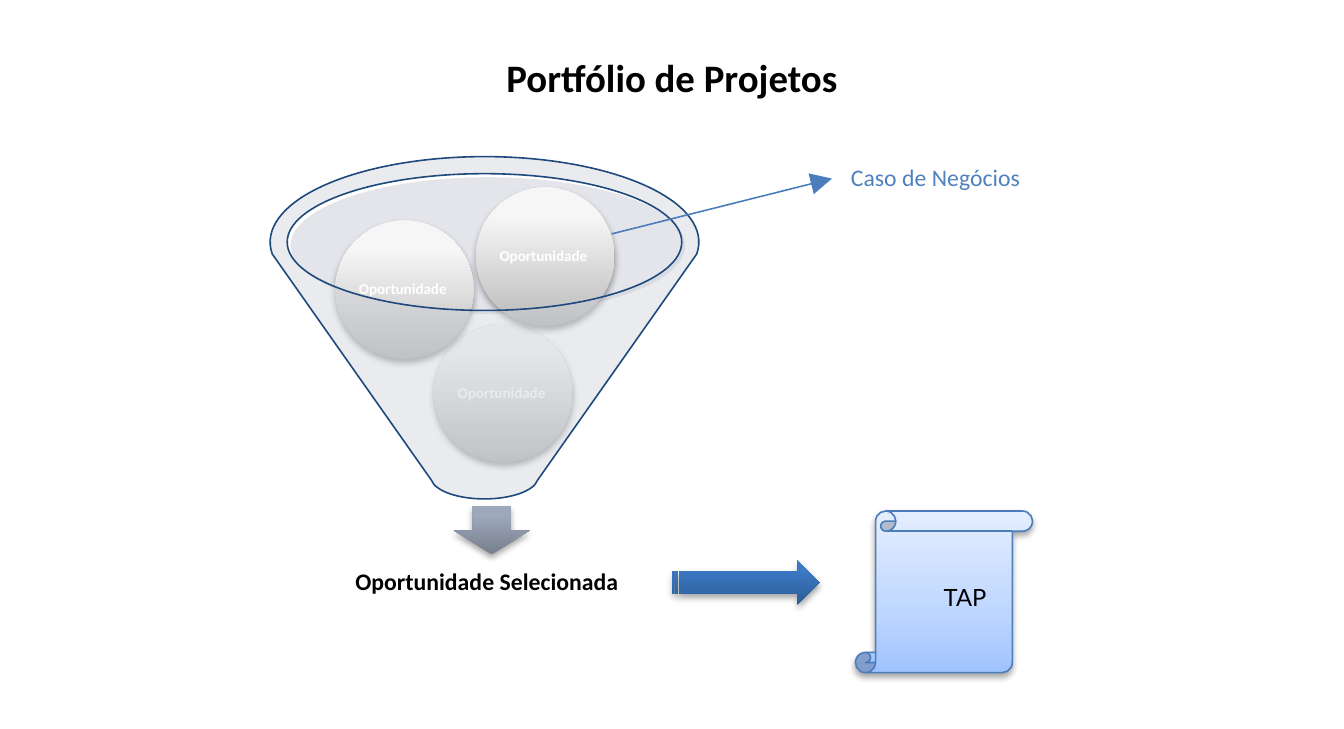
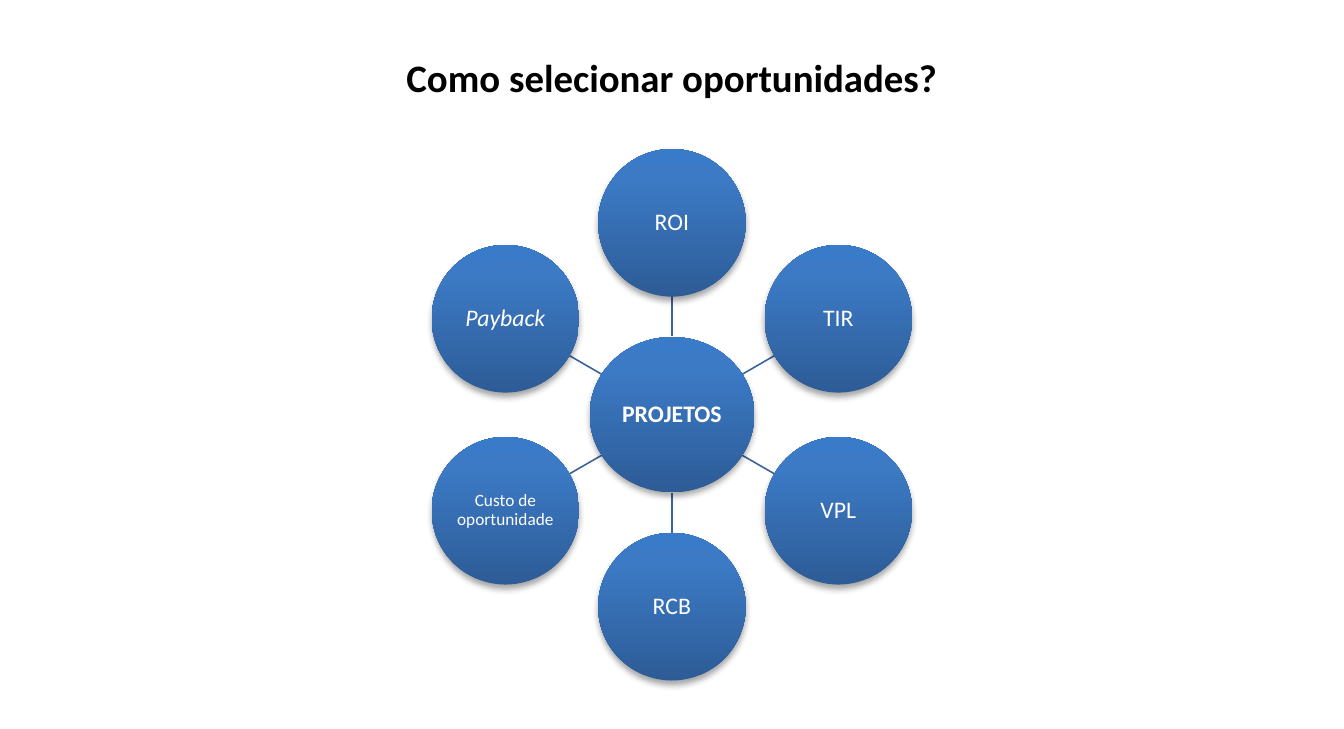
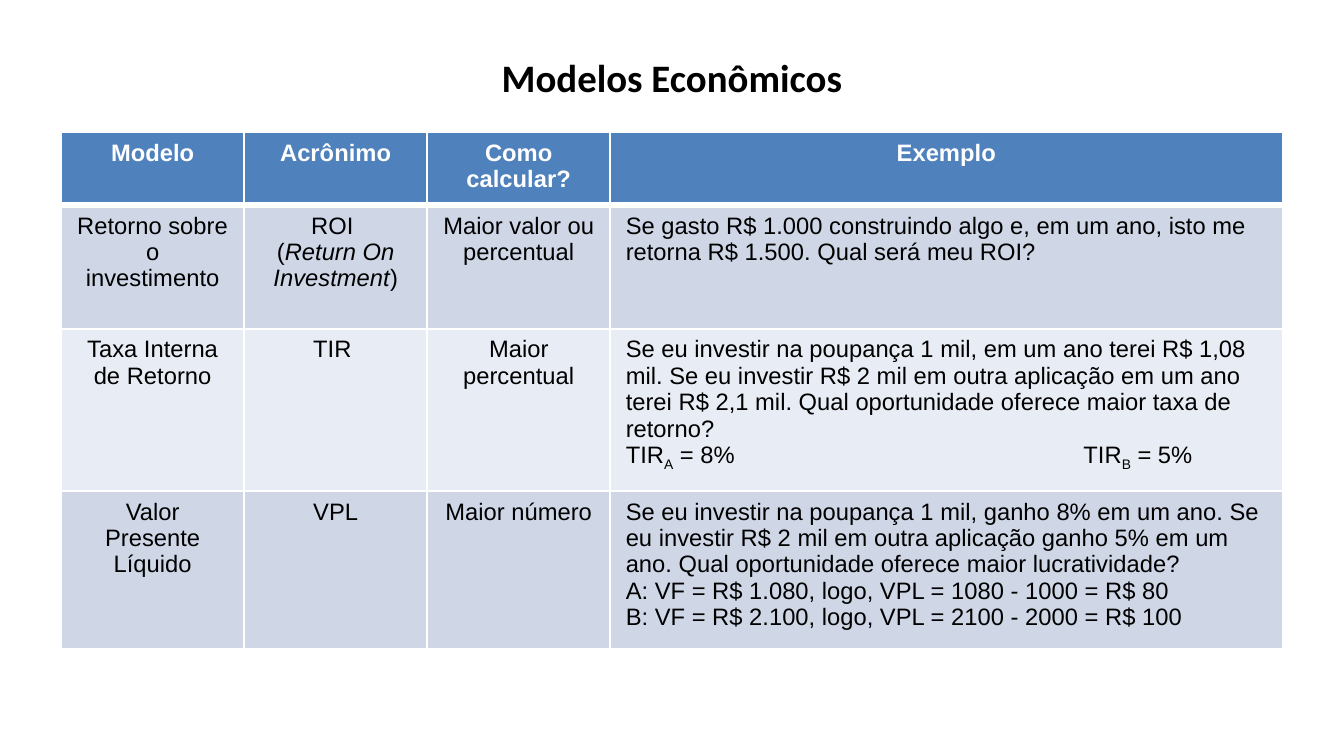
from copy import deepcopy
from dataclasses import dataclass
from math import cos, radians, sin, tan

from lxml.etree import SubElement
from pptx import Presentation
from pptx.dml.color import RGBColor
from pptx.enum.shapes import MSO_CONNECTOR, MSO_SHAPE
from pptx.enum.text import MSO_ANCHOR, PP_ALIGN
from pptx.oxml.ns import qn
from pptx.util import Inches, Pt


@dataclass(frozen=True)
class Theme:
    black: str = "000000"
    white: str = "FFFFFF"
    blue: str = "4F81BD"
    outline: str = "4A7DBA"
    spoke: str = "3B6495"
    navy: str = "1D497D"
    funnel: str = "CBCED6"
    mouth: str = "BBBFCB"
    bands: tuple = ("CFD7E7", "E8ECF4")
    blue_fade: tuple = ((0, "2D5C97"), (0.8, "3C7AC5"), (1, "397BC9"))
    grey_fade: tuple = ((0, "BBBBBB"), (0.8, "F6F6F6"), (1, "F7F7F7"))
    slate_fade: tuple = ((0, "777F8D"), (0.8, "9DA8BA"), (1, "9EA8BB"))
    paper_fade: tuple = ((0, "9FC3FF"), (0.35, "BDD5FF"), (1, "E4EEFF"))
    heading: int = 18
    body: int = 11
    note: int = 8
    tiny: int = 7
    hairline: float = 0.75


theme = Theme()
presentation = Presentation()
presentation.slide_width, presentation.slide_height = Inches(8.65), Inches(4.69)
# The grid has 100 columns and 100 rows.
column = presentation.slide_width / 100
row = presentation.slide_height / 100

tight = dict.fromkeys(("margin_left", "margin_right", "margin_top", "margin_bottom"), Inches(0.01))
tight.update(word_wrap=True, vertical_anchor=MSO_ANCHOR.MIDDLE)


def write(frame, paragraphs, color=theme.black, spacing=None, align=PP_ALIGN.CENTER,
          frame_format=None, **font_format):
    """Fill a frame; each paragraph is a string or a list of (text, extra font values)."""
    for name, value in (frame_format or {}).items():
        setattr(frame, name, value)
    for index, runs in enumerate(paragraphs):
        paragraph = frame.add_paragraph() if index else frame.paragraphs[0]
        paragraph.alignment, paragraph.line_spacing = align, spacing
        for text, extra in [(runs, {})] if isinstance(runs, str) else runs:
            run = paragraph.add_run()
            run.text = text
            run.font.color.rgb = RGBColor.from_string(color)
            values = {"name": "Calibri", "size": Pt(theme.body), **font_format, **extra}
            if values.pop("subscript", False):
                run.font._element.set("baseline", "-25000")
            for name, value in values.items():
                setattr(run.font, name, value)


def add_glossy(slide, kind, left, top, width, height, fade):
    """Add a preset shape with a vertical gradient and a soft shadow below it."""
    shape = slide.shapes.add_shape(kind, int(left * column), int(top * row),
                                   int(width * column), int(height * row))
    shape.fill.gradient()
    shape.fill.gradient_angle = 90
    stop_list = shape.element.spPr.find(qn("a:gradFill")).find(qn("a:gsLst"))
    stop_list.append(deepcopy(stop_list[0]))
    for stop, (position, color) in zip(shape.fill.gradient_stops, fade):
        stop.position, stop.color.rgb = position, RGBColor.from_string(color)
    shape.line.fill.background()
    shape.shadow.inherit = False
    shadow = SubElement(shape.element.spPr.find(qn("a:effectLst")), qn("a:outerShdw"),
                        blurRad=str(Pt(3.1)), dist=str(Pt(1.8)), dir="5400000",
                        algn="ctr", rotWithShape="0")
    shade = SubElement(shadow, qn("a:srgbClr"), val=theme.black)
    SubElement(shade, qn("a:alpha"), val="35000")
    return shape


# Slides and their titles
slides = []
for title in ("Portfólio de Projetos", "Como selecionar oportunidades?", "Modelos Econômicos"):
    slide = presentation.slides.add_slide(presentation.slide_layouts[6])
    box = slide.shapes.add_textbox(0, int(6.3 * row), int(100 * column), int(8.53 * row))
    write(box.text_frame, [title], size=Pt(theme.heading), bold=True,
          frame_format={"word_wrap": True})
    slides.append(slide)
portfolio, criteria, models = slides

# Portfolio: funnel
center_x, rim_y, tip_y = 36.05, 33.22, 65.46
mouth = portfolio.shapes.add_shape(MSO_SHAPE.OVAL, int(21.62 * column), int(24.31 * row),
                                   int(29.36 * column), int(18.76 * row))
add_glossy(portfolio, MSO_SHAPE.DOWN_ARROW, 33.76, 69.45, 5.66, 6.61, theme.slate_fade)
selected = portfolio.shapes.add_textbox(int(22.6 * column), int(73.65 * row),
                                        int(27.28 * column), int(12.58 * row))
write(selected.text_frame, ["Oportunidade Selecionada"], bold=True, spacing=0.9,
      frame_format=tight)
for left, top in ((32.3, 44.45), (24.95, 30.25), (35.42, 25.7)):
    ball = add_glossy(portfolio, MSO_SHAPE.OVAL, left, top, 10.29, 18.98, theme.grey_fade)
    write(ball.text_frame, ["Oportunidade "], theme.white, 0.9, frame_format=tight,
          size=Pt(theme.tiny), bold=True)

# Each arc is a chain of Bezier curves: a start point, then three points per curve.
outline = []
for arc_y, radius_x, radius_y, start, end, curves in (
        (rim_y, 15.95, 11.73, 172, 368, 4),
        (tip_y, 3.99, 2.99, 8, 172, 2),
        (rim_y, 14.68, 9.38, 0, 360, 4)):
    step = radians((end - start) / curves)
    reach = 4 / 3 * tan(step / 4)
    unit_points = [(cos(radians(start)), sin(radians(start)))]
    for index in range(curves):
        first = radians(start) + index * step
        last = first + step
        unit_points += [(cos(first) - reach * sin(first), sin(first) + reach * cos(first)),
                        (cos(last) + reach * sin(last), sin(last) - reach * cos(last)),
                        (cos(last), sin(last))]
    outline.append([((center_x + radius_x * x) * column, (arc_y + radius_y * y) * row)
                    for x, y in unit_points])
rim, tip, opening = outline
builder = portfolio.shapes.build_freeform(*rim[0])
builder.add_line_segments(rim[1:] + tip)
builder.move_to(*opening[0])
builder.add_line_segments(opening[1:])
funnel = builder.convert_to_shape()
segments = list(funnel.element.iter(qn("a:lnTo")))
del segments[len(rim) - 1]  # the straight side between rim and tip
for index in range(0, len(segments), 3):
    outline_element = segments[index].getparent()
    curve = SubElement(outline_element, qn("a:cubicBezTo"))
    segments[index].addprevious(curve)
    for segment in segments[index:index + 3]:
        curve.append(segment[0])
        outline_element.remove(segment)

for shape, color in ((mouth, theme.mouth), (funnel, theme.funnel)):
    shape.shadow.inherit = False
    shape.fill.solid()
    shape.fill.fore_color.rgb = RGBColor.from_string(color)
    fill_color = shape.element.spPr.find(qn("a:solidFill"))[0]
    SubElement(fill_color, qn("a:alpha"), val="40000")
mouth.line.fill.background()
funnel.line.color.rgb = RGBColor.from_string(theme.navy)
funnel.line.width = Pt(theme.hairline)

# Portfolio: what comes out of the funnel
add_glossy(portfolio, MSO_SHAPE.STRIPED_RIGHT_ARROW, 50, 76.85, 10.98, 6.18, theme.blue_fade)
scroll = add_glossy(portfolio, MSO_SHAPE.VERTICAL_SCROLL, 63.65, 70.1, 13.18, 22.17,
                    theme.paper_fade)
scroll.line.color.rgb = RGBColor.from_string(theme.outline)
scroll.line.width = Pt(theme.hairline)
write(scroll.text_frame, ["TAP"], name="Lato", frame_format={"margin_left": Inches(0.37)})
pointer = portfolio.shapes.add_connector(MSO_CONNECTOR.STRAIGHT, int(45.5 * column),
                                         int(32.1 * row), int(61.9 * column), int(24.5 * row))
pointer.line.color.rgb = RGBColor.from_string(theme.outline)
SubElement(pointer.line._get_or_add_ln(), qn("a:tailEnd"), type="triangle", w="lg", len="lg")
case = portfolio.shapes.add_textbox(int(62.1 * column), int(21.32 * row),
                                    int(15.03 * column), int(6.18 * row))
write(case.text_frame, ["Caso de Negócios"], theme.blue, frame_format={"word_wrap": False})

# Criteria: hub and six spokes
hub_x, hub_y, orbit_x, orbit_y = 50, 56.9, 14.3, 26.33
circles = [("PROJETOS", 0, 0, 12.25, 21.32, {"bold": True})]
criteria_names = [("ROI", {}), ("TIR", {}), ("VPL", {}), ("RCB", {}),
                  ("Custo de oportunidade", {"size": Pt(theme.note)}),
                  ("Payback", {"italic": True})]
for index, (name, font_format) in enumerate(criteria_names):
    angle = radians(index * 360 / len(criteria_names) - 90)
    offset_x, offset_y = orbit_x * cos(angle), orbit_y * sin(angle)
    circles.append((name, offset_x, offset_y, 10.98, 20.26, font_format))
    ends = [int(value) for share in (0.41, 0.62)
            for value in ((hub_x + share * offset_x) * column, (hub_y + share * offset_y) * row)]
    spoke = criteria.shapes.add_connector(MSO_CONNECTOR.STRAIGHT, *ends)
    spoke.line.color.rgb = RGBColor.from_string(theme.spoke)
for name, offset_x, offset_y, width, height, font_format in circles:
    circle = add_glossy(criteria, MSO_SHAPE.OVAL, hub_x + offset_x - width / 2,
                        hub_y + offset_y - height / 2, width, height, theme.blue_fade)
    write(circle.text_frame, [name], theme.white, 0.9, frame_format=tight, **font_format)

for slide in (portfolio, criteria):
    for connector in slide.element.iter(qn("p:cxnSp")):
        connector.spPr.find(qn("a:ln")).set("w", str(Pt(theme.hairline)))
        SubElement(connector.spPr, qn("a:effectLst"))

# Models: table
subscript = {"subscript": True}
rows = [
    [["Modelo"], ["Acrônimo"], ["Como calcular?"], ["Exemplo"]],
    [["Retorno sobre o investimento"],
     ["ROI ", [("(", {}), ("Return On Investment", {"italic": True}), (")", {})]],
     ["Maior valor ou percentual"],
     ["Se gasto R$ 1.000 construindo algo e, em um ano, isto me retorna R$ 1.500. "
      "Qual será meu ROI?"]],
    [["Taxa Interna de Retorno"], ["TIR "], ["Maior percentual"],
     ["Se eu investir na poupança 1 mil, em um ano terei R$ 1,08 mil. Se eu investir R$ 2 mil "
      "em outra aplicação em um ano terei R$ 2,1 mil. Qual oportunidade oferece maior taxa "
      "de retorno?",
      [("TIR", {}), ("A", subscript), (" = 8%\tTIR", {}), ("B", subscript), (" = 5%", {})]]],
    [["Valor Presente Líquido"], ["VPL"], ["Maior número"],
     ["Se eu investir na poupança 1 mil, ganho 8% em um ano. Se eu investir R$ 2 mil em outra "
      "aplicação ganho 5% em um ano. Qual oportunidade oferece maior lucratividade?",
      "A: VF = R$ 1.080, logo, VPL = 1080 - 1000 = R$ 80",
      "B: VF = R$ 2.100, logo, VPL = 2100 - 2000 = R$ 100"]],
]
column_shares, row_shares = (13.62, 13.62, 13.62, 50.02), (9.2, 17, 20.9, 20)
table = models.shapes.add_table(len(rows), len(column_shares), int(4.55 * column),
                                int(18.12 * row), int(sum(column_shares) * column),
                                int(sum(row_shares) * row)).table
for table_column, share in zip(table.columns, column_shares):
    table_column.width = int(share * column)
for row_index, (cells, share) in enumerate(zip(rows, row_shares)):
    table.rows[row_index].height = int(share * row)
    header = row_index == 0
    for column_index, paragraphs in enumerate(cells):
        cell = table.cell(row_index, column_index)
        example = column_index == len(cells) - 1 and not header
        write(cell.text_frame, paragraphs, theme.white if header else theme.black,
              align=PP_ALIGN.LEFT if example else PP_ALIGN.CENTER, name="Arial", bold=header)
        properties = cell._tc.get_or_add_tcPr()
        for side in "LRTB":
            thick = (header and side == "B") or (row_index == 1 and side == "T")
            border = SubElement(properties, qn(f"a:ln{side}"), w=str(Pt(3 if thick else 1)))
            SubElement(SubElement(border, qn("a:solidFill")), qn("a:srgbClr"), val=theme.white)
        cell.fill.solid()
        cell.fill.fore_color.rgb = RGBColor.from_string(
            theme.blue if header else theme.bands[(row_index - 1) % 2])

rates = table.cell(2, 3).text_frame.paragraphs[1]
tab_list = SubElement(rates._p.get_or_add_pPr(), qn("a:tabLst"))
SubElement(tab_list, qn("a:tab"), pos=str(int(34.05 * column)), algn="l")

presentation.save("out.pptx")
